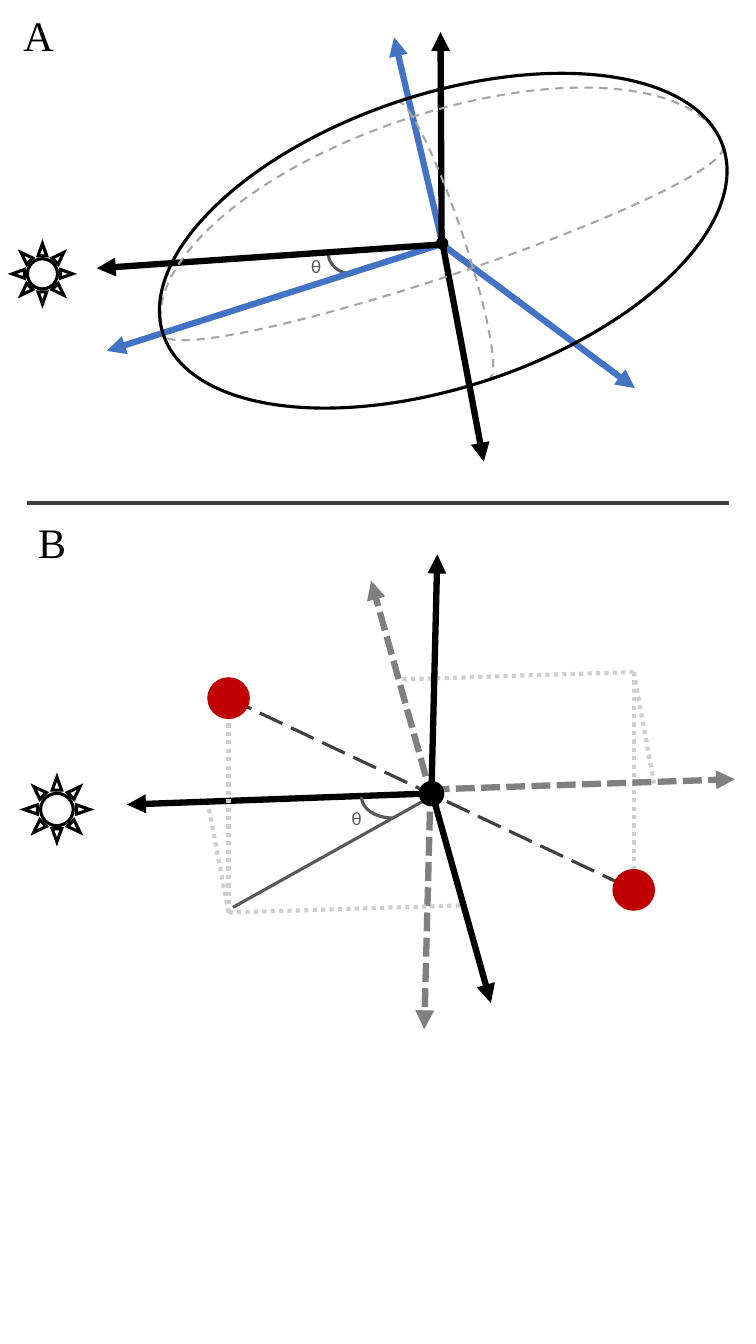
from pptx import Presentation
from pptx.dml.color import RGBColor
from pptx.enum.dml import MSO_LINE
from pptx.enum.shapes import MSO_CONNECTOR, MSO_SHAPE
from pptx.enum.text import MSO_AUTO_SIZE
from pptx.oxml.ns import qn
from pptx.util import Cm, Pt
from lxml.etree import SubElement

WIDTH, HEIGHT = 19.05, 33.86
PANEL_HEIGHT = 12.7
TILT = 341.5

BLACK = "000000"
BLUE = "4472C4"
RED = "C00000"
DARK_GREY = "404040"
ANGLE_GREY = "595959"
AXIS_GREY = "808080"
CURVE_GREY = "A5A5A5"
GUIDE_GREY = "D0CECE"

# Control points of half an ellipse in a unit square, for each side it bulges to
UPPER_HALF = ((0, 1), (0, 0.45), (0.22, 0), (0.5, 0), (0.78, 0), (1, 0.45), (1, 1))
LOWER_HALF = tuple((1 - x, 1 - y) for x, y in UPPER_HALF)
RIGHT_HALF = tuple((1 - y, x) for x, y in UPPER_HALF)


def color(hex_value):
    return RGBColor.from_string(hex_value)


def place(box, x, y):
    """Turn a point in a panel, in centimetres, into slide lengths."""
    return Cm(box[0] + x), Cm(box[1] + y)


def format_line(line, hex_value, width, dash=None):
    line.color.rgb = color(hex_value)
    line.width = Pt(width)
    if dash is not None:
        line.dash_style = dash


def add_line(slide, box, start, end, hex_value, width, dash=None, arrow=False):
    connector = slide.shapes.add_connector(
        MSO_CONNECTOR.STRAIGHT, *place(box, *start), *place(box, *end))
    format_line(connector.line, hex_value, width, dash)
    properties = connector._element.spPr
    if arrow:
        SubElement(properties.find(qn("a:ln")), qn("a:tailEnd"), type="triangle")
    SubElement(properties, qn("a:effectLst"))


def add_figure(slide, box, kind, frame, line_color, width, fill=None, rotation=0):
    left, top, shape_width, shape_height = frame
    shape = slide.shapes.add_shape(
        kind, *place(box, left, top), Cm(shape_width), Cm(shape_height))
    shape.shadow.inherit = False
    shape.rotation = rotation
    format_line(shape.line, line_color, width)
    SubElement(shape._element.spPr.find(qn("a:ln")), qn("a:miter"), lim="800000")
    if fill:
        shape.fill.solid()
        shape.fill.fore_color.rgb = color(fill)
    else:
        shape.fill.background()
    return shape


def add_angle(slide, box, frame, short_by=0):
    """Add the angle arc, ending some degrees before the quarter turn."""
    arc = add_figure(slide, box, MSO_SHAPE.ARC, frame, ANGLE_GREY, 2.25, rotation=270)
    arc._element.spPr.find(qn("a:xfrm")).set("flipH", "1")
    if short_by:
        arc.adjustments[1] = -short_by * 0.6


def add_label(slide, box, text, frame, font_name, size, hex_value):
    left, top, width, height = frame
    text_box = slide.shapes.add_textbox(*place(box, left, top), Cm(width), Cm(height))
    text_frame = text_box.text_frame
    text_frame.word_wrap = True
    text_frame.auto_size = MSO_AUTO_SIZE.SHAPE_TO_FIT_TEXT
    text_frame.text = text
    font = text_frame.paragraphs[0].runs[0].font
    font.name = font_name
    font.size = Pt(size)
    font.color.rgb = color(hex_value)


def add_letter(slide, box, text, left, top):
    add_label(slide, box, text, (left, top, 1.17, 1.55), "Times New Roman", 30, BLACK)


def add_theta(slide, box, frame):
    add_label(slide, box, "θ", frame, "Calibri", 13.5, ANGLE_GREY)


def add_half_ellipse(slide, box, frame, half):
    left, top, width, height = frame
    points = [place(box, left + x * width, top + y * height) for x, y in half]
    builder = slide.shapes.build_freeform(*points[0])
    builder.add_line_segments(points[1:], close=False)
    shape = builder.convert_to_shape()

    # Join each three points into one cubic curve
    outline = next(shape._element.iter(qn("a:path")))
    segments = outline.findall(qn("a:lnTo"))
    for index in range(0, len(segments), 3):
        curve = SubElement(outline, qn("a:cubicBezTo"))
        for segment in segments[index:index + 3]:
            curve.append(segment[0])
            outline.remove(segment)

    shape.rotation = TILT
    shape.shadow.inherit = False
    shape.fill.background()
    format_line(shape.line, CURVE_GREY, 1.5, MSO_LINE.DASH)


def add_ellipsoid_panel(slide, box):
    add_angle(slide, box, (8.33, 5.77, 1.07, 1.19), short_by=19)

    # Ellipsoid axes in blue, reference axes in black
    for start, end, hex_value in (
            ((11.13, 6.15), (16, 9.78), BLUE),
            ((11.28, 6.1), (2.69, 8.84), BLUE),
            ((11.18, 6.27), (9.93, 0.94), BLUE),
            ((11.13, 6.25), (11.1, 0.81), BLACK),
            ((11.13, 6.02), (12.19, 11.63), BLACK),
            ((11.25, 6.15), (2.44, 6.76), BLACK)):
        add_line(slide, box, start, end, hex_value, 4.5, arrow=True)

    # Dashed sections of the ellipsoid
    for frame, half in (((11.15, 2.28, 0.51, 7.37), RIGHT_HALF),
                        ((3.23, 2.94, 14.88, 3.2), UPPER_HALF),
                        ((3.86, 6.04, 14.88, 0.89), LOWER_HALF)):
        add_half_ellipse(slide, box, frame, half)

    # Outline, centre and sun
    add_figure(slide, box, MSO_SHAPE.OVAL, (3.73, 2.38, 14.88, 7.37), BLACK, 2.25,
               rotation=TILT)
    add_figure(slide, box, MSO_SHAPE.OVAL, (11, 5.99, 0.28, 0.28), BLACK, 1, BLACK, TILT)
    add_figure(slide, box, MSO_SHAPE.SUN, (0.31, 6.14, 1.52, 1.52), BLACK, 2.25)
    add_letter(slide, box, "A", 0.34, 0.11)
    add_theta(slide, box, (7.59, 6.3, 0.66, 0.84))


def add_guides(slide, box, corner, ends):
    for end in ends:
        add_line(slide, box, corner, end, GUIDE_GREY, 3, MSO_LINE.ROUND_DOT)


def add_dipole_panel(slide, box):
    left_body, right_body = (5.76, 4.89), (15.97, 9.72)
    left_corner, right_corner = (5.76, 10.29), (15.97, 4.23)

    # Projection of the left body and guides of the right one
    add_line(slide, box, (5.87, 10.16), (11.15, 7.21), ANGLE_GREY, 2.25)
    add_guides(slide, box, right_corner, ((16.48, 7.04), (10.03, 4.42), (15.97, 9.65)))

    # Negative axes
    for start, end in (((10.85, 7.19), (18.52, 6.93)),
                       ((10.85, 7.11), (10.69, 13.23)),
                       ((10.9, 7.47), (9.35, 1.93))):
        add_line(slide, box, start, end, AXIS_GREY, 4.5, MSO_LINE.SQUARE_DOT, arrow=True)

    # Left guides, link between the bodies, centre
    add_guides(slide, box, left_corner, ((5.23, 7.49), (11.68, 10.11)))
    add_line(slide, box, left_body, right_body, DARK_GREY, 2.25, MSO_LINE.LONG_DASH)
    add_figure(slide, box, MSO_SHAPE.OVAL, (10.57, 6.99, 0.61, 0.61), BLACK, 1, BLACK, TILT)

    # Positive axes
    for start, end in (((10.87, 7.29), (3.2, 7.57)),
                       ((10.87, 7.39), (11.02, 1.27)),
                       ((10.82, 7.04), (12.37, 12.57))):
        add_line(slide, box, start, end, BLACK, 4.5, arrow=True)

    # Vertical guide, red bodies and sun
    add_guides(slide, box, left_body, (left_corner,))
    for x, y in (left_body, right_body):
        add_figure(slide, box, MSO_SHAPE.OVAL, (x - 0.52, y - 0.51, 1.04, 1.02),
                   RED, 1, RED)
    add_figure(slide, box, MSO_SHAPE.SUN, (0.61, 6.88, 1.65, 1.63), BLACK, 2.25)
    add_letter(slide, box, "B", 0.71, 0.18)
    add_angle(slide, box, (9.35, 6.6, 1.07, 1.55))
    add_theta(slide, box, (8.61, 7.49, 0.79, 0.84))


def main():
    presentation = Presentation()
    presentation.slide_width = Cm(WIDTH)
    presentation.slide_height = Cm(HEIGHT)
    slide = presentation.slides.add_slide(presentation.slide_layouts[6])

    add_ellipsoid_panel(slide, (0, 0))
    add_dipole_panel(slide, (0, PANEL_HEIGHT))
    # Divider between the panels
    add_line(slide, (0, 0), (0.69, 12.67), (18.36, 12.67), DARK_GREY, 3)

    presentation.save("out.pptx")


if __name__ == "__main__":
    main()
